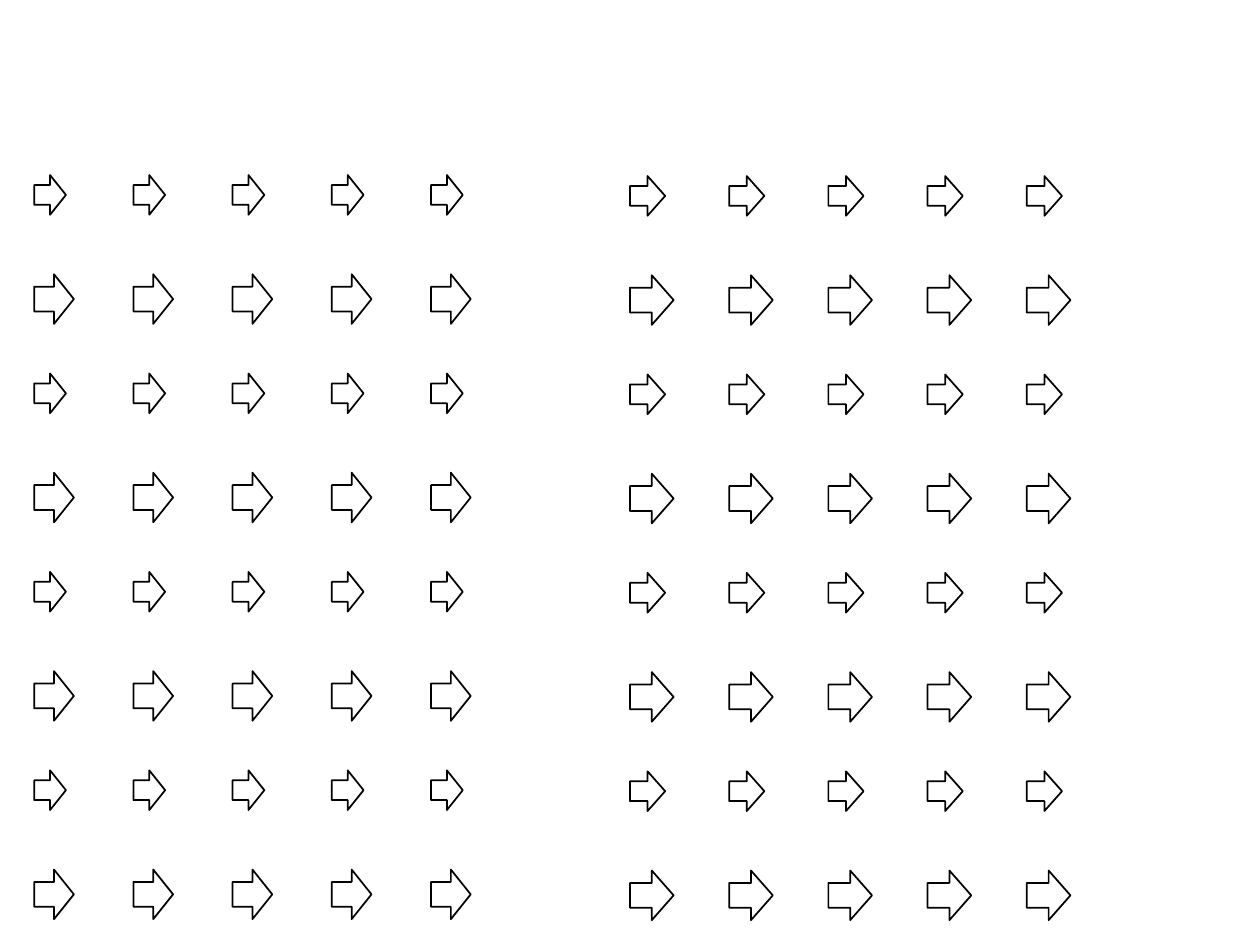
from pptx import Presentation
from pptx import util as u
from pptx.dml.color import RGBColor
from pptx.enum import shapes

COLORS = {"outline": "000000"}
PITCH = 2
COLUMNS = 5
ROW_PAIRS = 4
BLOCKS = [
    {"left": 0.69, "top": 3.53, "small": (0.64, 0.8), "large": (0.8, 1)},
    {"left": 12.7, "top": 3.55, "small": (0.71, 0.8), "large": (0.88, 1)},
]


def add_arrow(page, left, top, size):
    """Place one outlined right arrow, with lengths in centimetres."""
    box = [u.Cm(length) for length in (left, top, *size)]
    arrow = page.shapes.add_shape(shapes.MSO_SHAPE.RIGHT_ARROW, *box)
    arrow.shadow.inherit = False
    arrow.fill.background()
    arrow.line.color.rgb = RGBColor.from_string(COLORS["outline"])
    arrow.line.width = u.Pt(1)


def add_row_pair(page, block, pair):
    """Place a row of large arrows and the row of small ones above it."""
    for offset, name in ((1, "large"), (0, "small")):
        top = block["top"] + (2 * pair + offset) * PITCH
        for column in range(COLUMNS):
            add_arrow(page, block["left"] + column * PITCH, top, block[name])


def build_arrow_slide(deck):
    """Add a blank slide holding both blocks of arrows."""
    page = deck.slides.add_slide(deck.slide_layouts[6])
    for pair in range(ROW_PAIRS):
        for block in BLOCKS:
            add_row_pair(page, block, pair)


deck = Presentation()
deck.slide_width = u.Inches(10)
deck.slide_height = u.Inches(7.5)
build_arrow_slide(deck)
deck.save("out.pptx")
